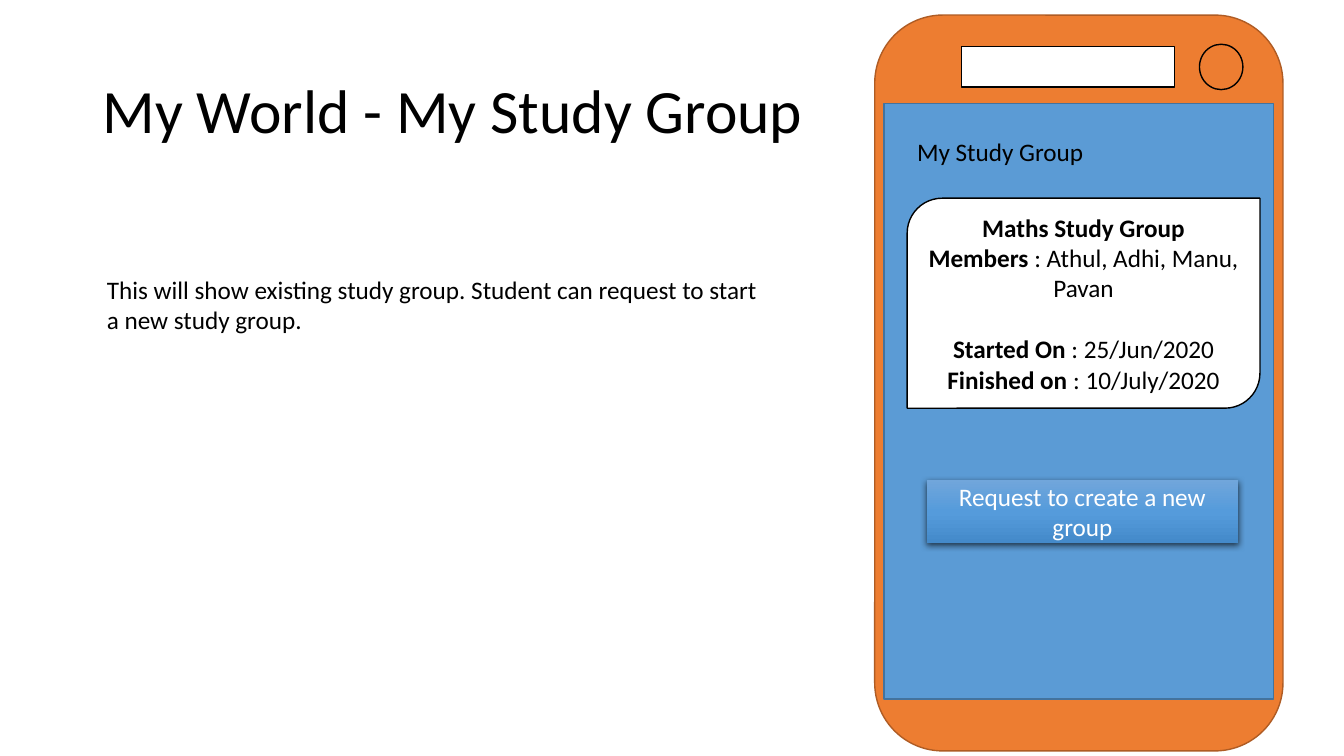
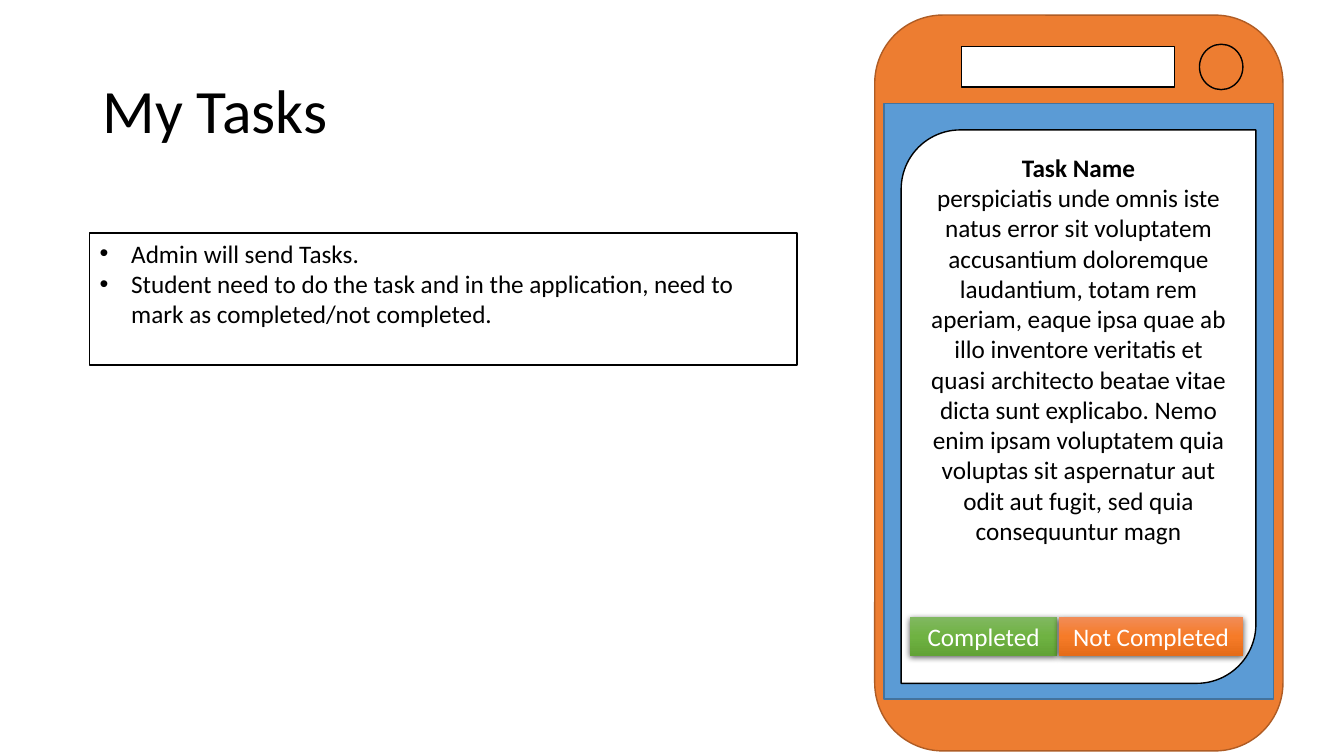
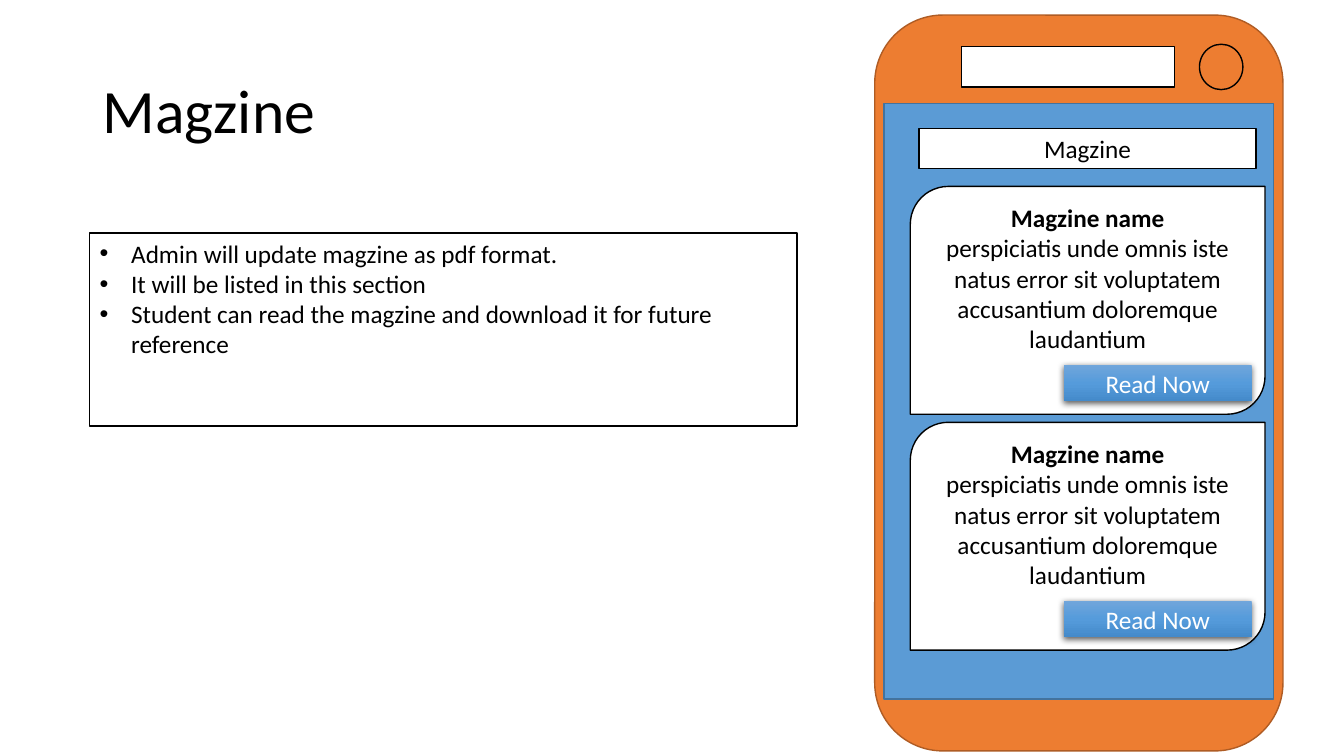
from copy import deepcopy
from dataclasses import dataclass

from lxml import etree
from pptx import Presentation
from pptx import util as u
from pptx.dml.color import RGBColor
from pptx.enum import shapes, text
from pptx.oxml import ns

Pt = u.Pt
KIND = shapes.MSO_SHAPE
ALIGN = text.PP_ALIGN
ANCHOR = text.MSO_ANCHOR


@dataclass(frozen=True)
class Theme:
    font: str = "Calibri"
    title_size: float = 44
    body_size: float = 18
    line_width: float = 1
    ink: str = "000000"
    paper: str = "FFFFFF"
    case: str = "ED7D31"
    case_edge: str = "AF5C24"
    screen: str = "5B9BD5"
    screen_edge: str = "43739E"
    blue: tuple = ("71A6DB", "559BDB", "448ACA")
    green: tuple = ("81B861", "6FB242", "62A336")
    orange: tuple = ("F18C57", "F67B28", "E56C19")


THEME = Theme()

# Shared geometry: left, top, width, height in points
SLIDE_SIZE = (960, 540)
TITLE_BOX = (66, 28.8, 828, 104.4)
PHONE = [
    (KIND.ROUNDED_RECTANGLE, (624.8, 10.8, 291.6, 525.6), THEME.case, THEME.case_edge),
    (KIND.RECTANGLE, (686.9, 33.2, 152, 29), THEME.paper, THEME.ink),
    (KIND.OVAL, (856.8, 31.6, 31, 32.4), THEME.case, THEME.ink),
    (KIND.RECTANGLE, (631.4, 74, 278.4, 425.4), THEME.screen, THEME.screen_edge),
]
BULLET_INDENT = 22.5
CARD_GAP = 22

# Content: a paragraph is a list of (text, bold) runs
TASK_TEXT = (
    "perspiciatis unde omnis iste natus error sit voluptatem accusantium "
    "doloremque laudantium, totam rem aperiam, eaque ipsa quae ab illo "
    "inventore veritatis et quasi architecto beatae vitae dicta sunt explicabo. "
    "Nemo enim ipsam voluptatem quia voluptas sit aspernatur aut odit aut "
    "fugit, sed quia consequuntur magn"
)
MAGAZINE_TEXT = (
    "perspiciatis unde omnis iste natus error sit voluptatem accusantium "
    "doloremque laudantium"
)
MAGAZINE_TOP, MAGAZINE_PITCH = 133.2, 168.5
MAGAZINE_TOPS = [MAGAZINE_TOP + index * MAGAZINE_PITCH for index in range(2)]

SLIDES = [
    {
        "title": "My World - My Study Group",
        "body": ["This will show existing study group. Student can request to "
                 "start a new study group."],
        "body_box": (69.1, 192.2, 486, 51),
        "bulleted": False,
        "label": ("My Study Group", (648, 93.6, 180, 28.8)),
        "cards": [{
            "box": (648, 141.6, 252, 150),
            "anchor": ANCHOR.MIDDLE,
            "paragraphs": [
                [("Maths Study Group", True)],
                [("Members", True), (" : Athul, Adhi, Manu, Pavan", False)],
                [("Started On", True), (" : 25/Jun/2020", False)],
                [("Finished on", True), (" : 10/July/2020", False)],
            ],
            "gap_before": 2,
        }],
        "buttons": [("Request to create a new group",
                     (662.2, 342.8, 222, 45.4), THEME.blue)],
    },
    {
        "title": "My Tasks",
        "body": ["Admin will send Tasks.",
                 "Student need to do the task and in the application, need to "
                 "mark as completed/not completed."],
        "body_box": (64, 166.4, 505.4, 94.4),
        "bulleted": True,
        "cards": [{
            "box": (643.7, 92.8, 253.4, 395.3),
            "anchor": ANCHOR.TOP,
            "paragraphs": [[("Task Name", True)], [(TASK_TEXT, False)]],
        }],
        "buttons": [("Completed", (650, 440.7, 105.2, 27.6), THEME.green),
                    ("Not Completed", (756.6, 440.7, 131.2, 27.6), THEME.orange)],
    },
    {
        "title": "Magzine",
        "body": ["Admin will update magzine as pdf format.",
                 "It will be listed in this section",
                 "Student can read the magzine and download it for future reference"],
        "body_box": (64, 166.4, 505.4, 138),
        "bulleted": True,
        "heading": ("Magzine", (656.6, 91.8, 240.5, 28.8)),
        "cards": [{
            "box": (650.2, top, 253.4, 162.7),
            "anchor": ANCHOR.TOP,
            "paragraphs": [[("Magzine name", True)], [(MAGAZINE_TEXT, False)]],
        } for top in MAGAZINE_TOPS],
        "buttons": [("Read Now", (760, top + 127.4, 134, 26.2), THEME.blue)
                    for top in MAGAZINE_TOPS],
    },
]


def color(value):
    return RGBColor.from_string(value)


def apply(target, values):
    for name, value in values.items():
        setattr(target, name, value)


def place(shape, box):
    apply(shape, dict(zip(("left", "top", "width", "height"), map(Pt, box))))


def paint(shape, fill, line):
    shape.fill.solid()
    shape.fill.fore_color.rgb = color(fill)
    shape.line.color.rgb = color(line)
    shape.line.width = Pt(THEME.line_width)


def write(frame, paragraphs, align=ALIGN.LEFT, anchor=ANCHOR.TOP,
          size=THEME.body_size, ink=THEME.ink):
    """Fill a text frame with paragraphs of (text, bold) runs."""
    apply(frame, {"word_wrap": True, "auto_size": text.MSO_AUTO_SIZE.NONE,
                  "vertical_anchor": anchor})
    for index, runs in enumerate(paragraphs):
        paragraph = frame.paragraphs[0] if index == 0 else frame.add_paragraph()
        apply(paragraph, {"alignment": align, "space_before": Pt(0)})
        for words, bold in runs:
            run = paragraph.add_run()
            run.text = words
            apply(run.font, {"name": THEME.font, "size": Pt(size), "bold": bold})
            run.font.color.rgb = color(ink)


def add_shape(slide, kind, box):
    shape = slide.shapes.add_shape(kind, *map(Pt, box))
    shape.shadow.inherit = False
    return shape


def add_panel(slide, kind, box, paragraphs, anchor=ANCHOR.MIDDLE):
    panel = add_shape(slide, kind, box)
    paint(panel, THEME.paper, THEME.ink)
    write(panel.text_frame, paragraphs, ALIGN.CENTER, anchor)
    return panel


def add_button(slide, label, box, gradient):
    button = add_shape(slide, KIND.RECTANGLE, box)
    button.line.fill.background()
    properties = button.element.spPr

    # Three-stop vertical gradient
    button.fill.gradient()
    button.fill.gradient_angle = 270
    stop_list = properties.find(".//" + ns.qn("a:gsLst"))
    stop_list.append(deepcopy(stop_list[0]))
    for index, (stop, value) in enumerate(zip(button.fill.gradient_stops, gradient)):
        stop.position = index / 2
        stop.color.rgb = color(value)

    # Soft shadow below
    effects = properties.find(ns.qn("a:effectLst"))
    shadow = etree.SubElement(effects, ns.qn("a:outerShdw"), {
        "blurRad": str(Pt(4.5)), "dist": str(Pt(1.5)), "dir": "5400000",
        "algn": "ctr", "rotWithShape": "0"})
    shade = etree.SubElement(shadow, ns.qn("a:srgbClr"), val=THEME.ink)
    etree.SubElement(shade, ns.qn("a:alpha"), val="63000")

    write(button.text_frame, [[(label, False)]], ALIGN.CENTER, ANCHOR.MIDDLE,
          ink=THEME.paper)


def fill_body(body, content):
    place(body, content["body_box"])
    bulleted = content["bulleted"]
    if bulleted:
        paint(body, THEME.paper, THEME.ink)
    write(body.text_frame, [[(line, False)] for line in content["body"]])
    indent = Pt(BULLET_INDENT) if bulleted else 0
    for paragraph in body.text_frame.paragraphs:
        properties = paragraph._p.get_or_add_pPr()
        properties.set("marL", str(indent))
        properties.set("indent", str(-indent))
        if bulleted:
            etree.SubElement(properties, ns.qn("a:buFont"), typeface="Arial")
            etree.SubElement(properties, ns.qn("a:buChar"), char="•")
        else:
            etree.SubElement(properties, ns.qn("a:buNone"))


def build_slide(presentation, content):
    slide = presentation.slides.add_slide(presentation.slide_layouts[1])

    # Title and explanation
    title = slide.shapes.title
    place(title, TITLE_BOX)
    write(title.text_frame, [[(content["title"], False)]], anchor=ANCHOR.MIDDLE,
          size=THEME.title_size)
    title.text_frame.paragraphs[0].line_spacing = 0.9
    fill_body(slide.placeholders[1], content)

    # Phone
    for kind, box, fill, line in PHONE:
        paint(add_shape(slide, kind, box), fill, line)

    # Screen content
    if "label" in content:
        words, box = content["label"]
        label = slide.shapes.add_textbox(*map(Pt, box))
        write(label.text_frame, [[(words, False)]])
    if "heading" in content:
        words, box = content["heading"]
        add_panel(slide, KIND.RECTANGLE, box, [[(words, False)]])
    for card in content["cards"]:
        panel = add_panel(slide, KIND.ROUND_2_DIAG_RECTANGLE, card["box"],
                          card["paragraphs"], card["anchor"])
        if "gap_before" in card:
            paragraph = panel.text_frame.paragraphs[card["gap_before"]]
            paragraph.space_before = Pt(CARD_GAP)
    for button in content["buttons"]:
        add_button(slide, *button)


def main():
    presentation = Presentation()
    apply(presentation, dict(zip(("slide_width", "slide_height"), map(Pt, SLIDE_SIZE))))
    for content in SLIDES:
        build_slide(presentation, content)
    presentation.save("out.pptx")


if __name__ == "__main__":
    main()
